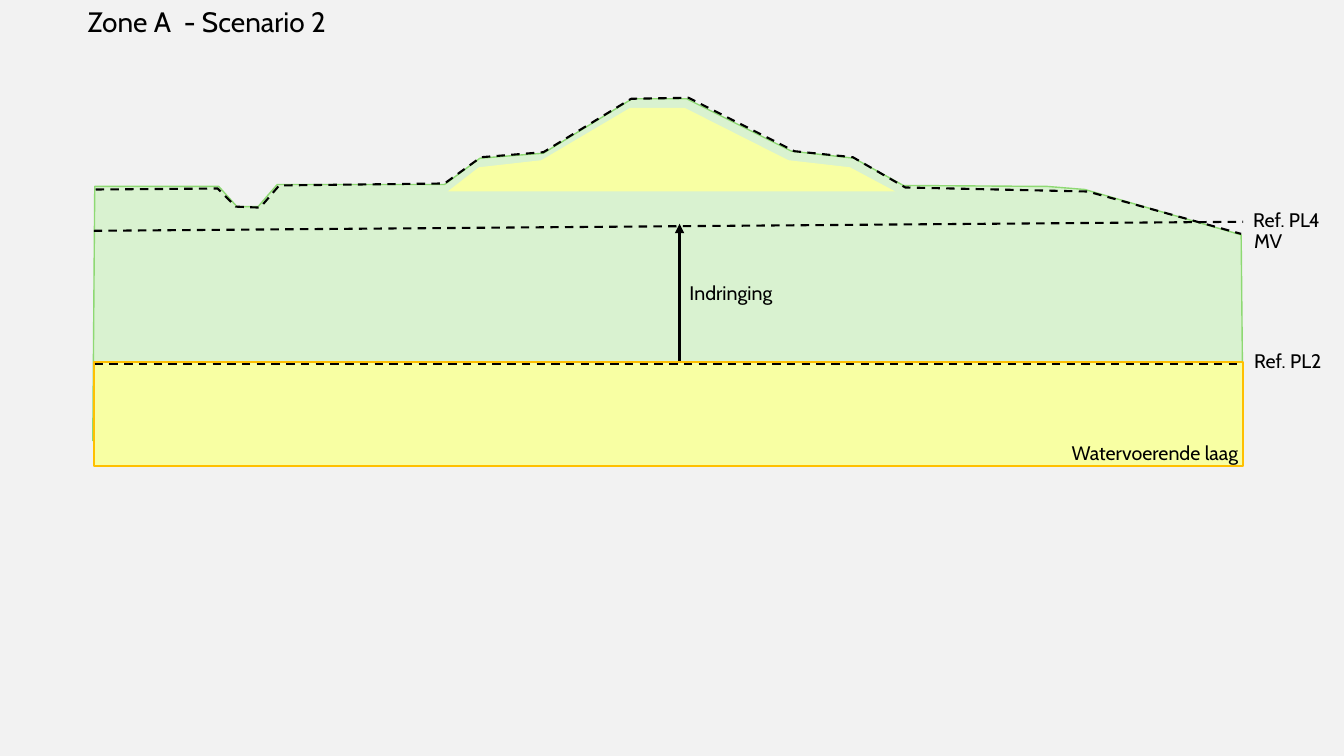
"""Builds the dike cross-section slide for Zone A, scenario 2."""
import lxml.etree
import pptx
import pptx.dml.color
import pptx.enum.dml
import pptx.enum.shapes
import pptx.oxml.ns
import pptx.util

Inches = pptx.util.Inches
COLORS = {"background": "F2F2F2", "clay": "D9F2D0", "clay_edge": "8ED973",
          "sand": "F8FFA3", "sand_edge": "FFC000", "ink": "000000"}
FONT = "Cabin"

CLAY_BODY = [(0.92, 4.37), (12.33, 4.37), (12.31, 2.33), (10.76, 1.88), (10.39, 1.85),
             (8.96, 1.84), (8.47, 1.57), (7.85, 1.5), (6.81, 0.98), (6.27, 0.98),
             (5.39, 1.52), (4.76, 1.57), (4.41, 1.83), (2.75, 1.83), (2.56, 2.05),
             (2.35, 2.05), (2.17, 1.85), (0.94, 1.85)]
SAND_CORE = [(6.25, 1.07), (6.79, 1.07), (7.82, 1.59), (8.43, 1.66), (8.88, 1.9),
             (4.44, 1.9), (4.75, 1.66), (5.37, 1.59)]
GROUND_LEVEL = [(0.95, 1.88), (2.16, 1.87), (2.34, 2.05), (2.58, 2.06), (2.77, 1.84),
                (4.41, 1.82), (4.77, 1.56), (5.39, 1.51), (6.26, 0.98), (6.83, 0.97),
                (7.88, 1.5), (8.46, 1.56), (8.98, 1.86), (10.79, 1.9), (12.31, 2.32)]
AQUIFER = (0.93, 3.59, 11.4, 1.03)
REFERENCE_LEVELS = [((0.93, 2.29), (12.33, 2.2)), ((0.94, 3.61), (12.33, 3.61))]
INTRUSION = ((6.74, 3.58), (6.74, 2.22))
LABELS = [("Watervoerende laag", 10.53, 4.33, 1.91), ("Ref. PL4", 12.33, 2.01, 1),
          ("Ref. PL2", 12.34, 3.41, 1), ("MV", 12.34, 2.22, 1),
          ("Indringing", 6.74, 2.74, 1.73)]


def rgb(name):
    return pptx.dml.color.RGBColor.from_string(COLORS[name])


def style_line(line, color, width, dashed=False):
    line.color.rgb = rgb(color)
    line.width = pptx.util.Pt(width)
    if dashed:
        line.dash_style = pptx.enum.dml.MSO_LINE.DASH


def style_shape(shape, fill=None, edge=None, width=1.5, dashed=False):
    shape.shadow.inherit = False
    if fill:
        shape.fill.solid()
        shape.fill.fore_color.rgb = rgb(fill)
    else:
        shape.fill.background()
    if edge:
        style_line(shape.line, edge, width, dashed)
    else:
        shape.line.fill.background()


def add_outline(page, points, closed=True, **style):
    corners = [(Inches(x), Inches(y)) for x, y in points]
    builder = page.shapes.build_freeform(*corners[0])
    builder.add_line_segments(corners[1:], close=closed)
    style_shape(builder.convert_to_shape(), **style)


def add_line(page, start, end, width=1.5, dashed=False, arrow=False):
    connector = page.shapes.add_connector(
        pptx.enum.shapes.MSO_CONNECTOR.STRAIGHT, *map(Inches, start + end))
    style_line(connector.line, "ink", width, dashed)
    qn = pptx.oxml.ns.qn
    properties = connector._element.spPr
    if arrow:
        lxml.etree.SubElement(properties.find(qn("a:ln")), qn("a:tailEnd"), type="triangle")
    lxml.etree.SubElement(properties, qn("a:effectLst"))


def add_text(page, text, left, top, width, height=0.34, size=14):
    box = page.shapes.add_textbox(*map(Inches, (left, top, width, height)))
    box.text_frame.word_wrap = True
    span = box.text_frame.paragraphs[0].add_run()
    span.text = text
    span.font.name = FONT
    span.font.size = pptx.util.Pt(size)
    span.font.color.rgb = rgb("ink")


def main():
    deck = pptx.Presentation()
    deck.slide_width, deck.slide_height = Inches(13.33), Inches(7.5)
    page = deck.slides.add_slide(deck.slide_layouts[6])
    page.background.fill.solid()
    page.background.fill.fore_color.rgb = rgb("background")

    add_outline(page, CLAY_BODY, fill="clay", edge="clay_edge", width=1)
    aquifer = page.shapes.add_shape(
        pptx.enum.shapes.MSO_SHAPE.RECTANGLE, *map(Inches, AQUIFER))
    style_shape(aquifer, fill="sand", edge="sand_edge")
    for start, end in REFERENCE_LEVELS:
        add_line(page, start, end, dashed=True)
    add_outline(page, SAND_CORE, fill="sand")
    add_outline(page, GROUND_LEVEL, closed=False, edge="ink", dashed=True)
    add_text(page, "Zone A  - Scenario 2", 0.77, 0, 3.21, height=0.44, size=20)
    for label in LABELS:
        add_text(page, *label)
    add_line(page, *INTRUSION, width=2.25, arrow=True)
    deck.save("out.pptx")


if __name__ == "__main__":
    main()
